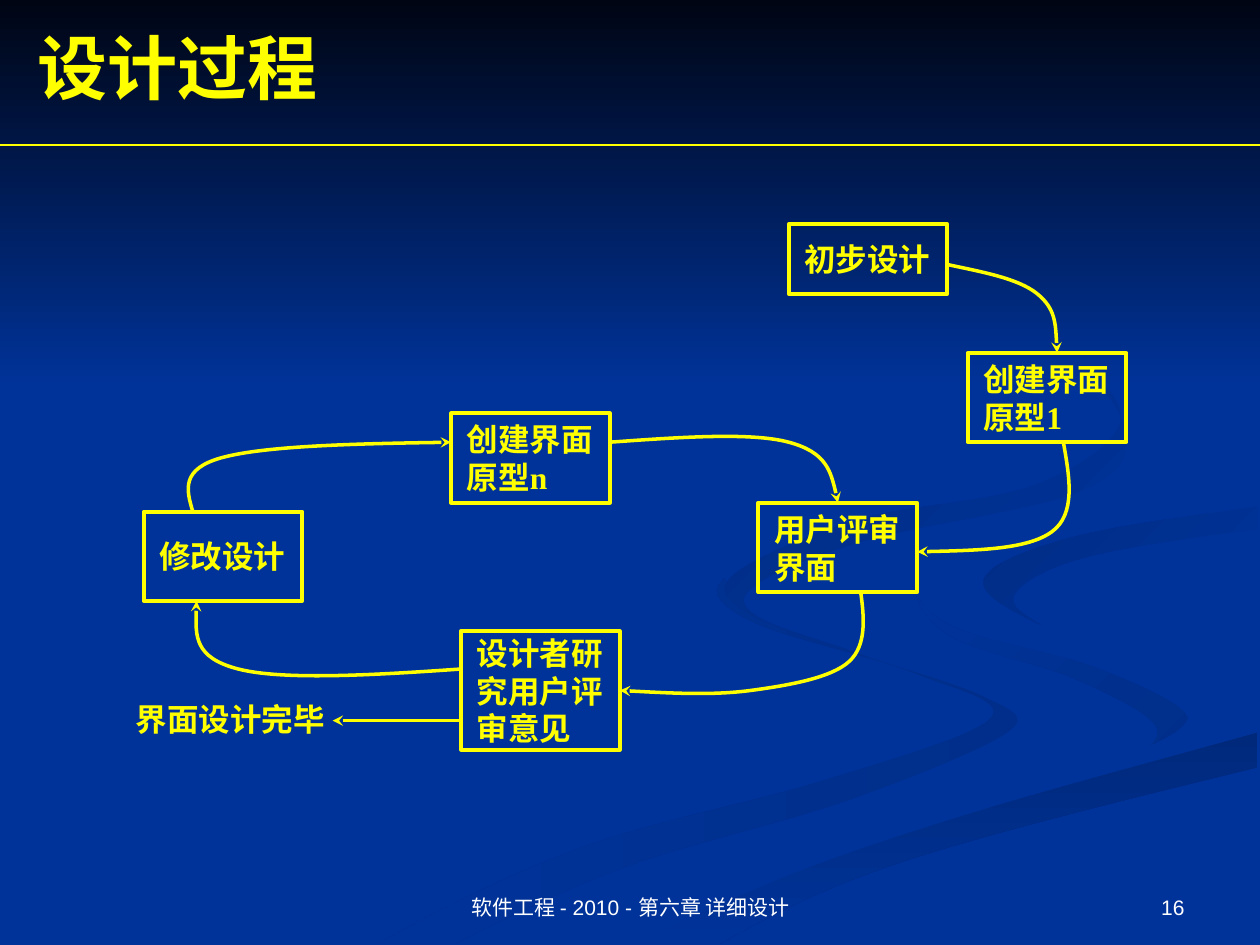
from dataclasses import dataclass

from lxml import etree
from pptx import Presentation
from pptx.dml.color import RGBColor
from pptx.enum.shapes import MSO_CONNECTOR, MSO_SHAPE
from pptx.enum.text import MSO_ANCHOR, PP_ALIGN
from pptx.oxml.ns import qn
from pptx.util import Pt

RECT = MSO_SHAPE.RECTANGLE
STRAIGHT = MSO_CONNECTOR.STRAIGHT
TOP, MIDDLE, BOTTOM = MSO_ANCHOR.TOP, MSO_ANCHOR.MIDDLE, MSO_ANCHOR.BOTTOM
LEFT, CENTER, RIGHT = PP_ALIGN.LEFT, PP_ALIGN.CENTER, PP_ALIGN.RIGHT
COLORS = {
    "base": "003399", "night": "000514", "yellow": "FFFF00", "white": "FFFFFF",
    "shade_a": "002E8A", "shade_b": "00297C", "shade_c": "002C85", "shade_d": "002B81",
}
GRID = Pt(0.72)
BOX_WIDTH = 90.7
SERIF, SANS = "Times New Roman", "Arial"
Point = tuple[float, float]


@dataclass(frozen=True)
class Swoosh:
    start: str
    end: str
    angle: int
    edges: list[list[Point]]


@dataclass(frozen=True)
class Box:
    text: str
    left: float
    top: float
    height: float = 51.1


@dataclass(frozen=True)
class Label:
    text: str
    left: float
    top: float
    width: float
    height: float
    size: int
    font: str
    color: str
    bold: bool
    anchor: MSO_ANCHOR
    align: PP_ALIGN


SWOOSHES = [
    Swoosh("shade_a", "base", 180, [
        [(575, 459), (572, 476), (611, 499), (728, 535), (786, 570), (652, 620), (458, 674),
         (300, 749)],
        [(361, 749), (499, 687), (676, 634), (800, 581), (781, 553), (682, 519), (602, 490),
         (575, 459)]]),
    Swoosh("shade_a", "base", 225, [
        [(724, 464), (758, 498), (870, 530), (943, 570), (894, 605)],
        [(894, 605), (917, 576), (854, 539), (755, 505), (724, 464)]]),
    Swoosh("shade_b", "base", 90, [
        [(571, 749), (722, 682), (998, 609)],
        [(998, 581), (764, 647), (630, 693), (503, 749)]]),
    Swoosh("base", "base", 0, [
        [(725, 464), (759, 498), (871, 530), (943, 570), (843, 618), (619, 684), (477, 749)],
        [(503, 749), (630, 693), (765, 647), (999, 581)],
        [(999, 538), (848, 503), (781, 463), (865, 424), (999, 402)],
        [(999, 387), (788, 422), (725, 464)]]),
    Swoosh("base", "shade_c", 225, [
        [(998, 402), (849, 427), (781, 460), (826, 496)],
        [(826, 496), (805, 472), (859, 443), (998, 420)]]),
    Swoosh("base", "shade_d", 225, [
        [(762, 233), (846, 279), (889, 335), (818, 386), (676, 414), (577, 462), (622, 500)],
        [(622, 500), (593, 470), (683, 430), (855, 391), (894, 344), (843, 275), (762, 233)]]),
]

BOXES = [
    Box("创建界面原型n", 257.8, 236.2),
    Box("设计者研究用户评审意见", 263.5, 360.7, 67.7),
    Box("创建界面原型1", 553, 201.6),
    Box("初步设计", 450.7, 128.2, 39.6),
    Box("用户评审界面", 433.4, 287.3),
    Box("修改设计", 82.1, 292.3),
]

ARROWS = [
    [(752, 210), (823, 233), (839, 280)],
    [(844, 351), (835, 422), (728, 438)],
    [(683, 469), (674, 525), (596, 548), (492, 548)],
    [(366, 531), (189, 531), (156, 477)],
    [(153, 406), (177, 363), (358, 351)],
    [(484, 351), (626, 351), (665, 399)],
]

LABELS = [
    Label("设计过程", 14.4, 10.1, 648, 55.4, 40, SERIF, "yellow", True, MIDDLE, LEFT),
    Label("界面设计完毕", 70.6, 396.7, 124.6, 28.8, 18, SERIF, "yellow", True, TOP, LEFT),
    Label("软件工程 - 2010 - 第六章 详细设计", 246.2, 491.8, 228.2, 37.4, 12, SANS, "white",
          False, BOTTOM, CENTER),
    Label("16", 516.2, 491.8, 167.8, 37.4, 12, SANS, "white", False, BOTTOM, RIGHT),
]


def rgb(name: str) -> RGBColor:
    return RGBColor.from_string(COLORS[name])


def shift(p: Point, before: Point, after: Point, share: float) -> Point:
    return p[0] + (after[0] - before[0]) * share, p[1] + (after[1] - before[1]) * share


def spline(points: list[Point]) -> list[Point]:
    inner = list(zip(points, points[1:], points[2:]))
    arrive = [shift(p, a, b, -1 / 6) for a, p, b in inner]
    leave = [shift(p, a, b, 1 / 6) for a, p, b in inner]
    leave.insert(0, shift(points[0], points[0], arrive[0], 0.5))
    arrive.append(shift(points[-1], points[-1], leave[-1], 0.5))
    return [p for segment in zip(leave, arrive, points[1:]) for p in segment]


def add_outline(s, edges: list[list[Point]], close: bool):
    points = spline(edges[0])
    for before, edge in zip(edges, edges[1:]):
        points += [before[-1], edge[0], edge[0]] + spline(edge)
    builder = s.shapes.build_freeform(*edges[0][0], scale=GRID)
    builder.add_line_segments(points, close=close)
    sp = builder.convert_to_shape()
    sp.shadow.inherit = False
    segments = list(sp._element.iter(qn("a:lnTo")))
    for i in range(0, len(segments), 3):
        curve = etree.Element(qn("a:cubicBezTo"))
        segments[i].addprevious(curve)
        for segment in segments[i:i + 3]:
            curve.append(segment[0])
            segment.getparent().remove(segment)
    return sp


def fill_gradient(sp, start: str, end: str, angle: int) -> None:
    sp.line.fill.background()
    if start == end:
        sp.fill.solid()
        sp.fill.fore_color.rgb = rgb(start)
        return
    sp.fill.gradient()
    sp.fill.gradient_angle = 360 - angle
    for stop, name in zip(sp.fill.gradient_stops, (start, end)):
        stop.color.rgb = rgb(name)


def set_line(sp, width: float, arrow: bool = False) -> None:
    sp.line.width = Pt(width)
    sp.line.color.rgb = rgb("yellow")
    if arrow:
        etree.SubElement(sp.line._get_or_add_ln(), qn("a:tailEnd"), type="stealth")


def add_straight(s, x1: float, y1: float, x2: float, y2: float, width: float,
                 arrow: bool = False) -> None:
    line = s.shapes.add_connector(STRAIGHT, Pt(x1), Pt(y1), Pt(x2), Pt(y2))
    set_line(line, width, arrow)
    etree.SubElement(line._element.spPr, qn("a:effectLst"))


def add_rect(s, left: float, top: float, width: float, height: float):
    sp = s.shapes.add_shape(RECT, Pt(left), Pt(top), Pt(width), Pt(height))
    sp.shadow.inherit = False
    return sp


def write(tf, text: str, size: int, font: str, color: str, bold: bool,
          anchor: MSO_ANCHOR, align: PP_ALIGN) -> None:
    tf.word_wrap = True
    tf.vertical_anchor = anchor
    p = tf.paragraphs[0]
    p.alignment = align
    r = p.add_run()
    r.text = text
    r.font.size, r.font.name, r.font.bold = Pt(size), font, bold
    r.font.color.rgb = rgb(color)


def add_box(s, box: Box) -> None:
    sp = add_rect(s, box.left, box.top, BOX_WIDTH, box.height)
    sp.fill.background()
    set_line(sp, 2.25)
    tf = sp.text_frame
    tf.margin_left, tf.margin_right = Pt(9), Pt(1.4)
    tf.margin_top = tf.margin_bottom = Pt(0.7)
    write(tf, box.text, 18, SERIF, "yellow", True, MIDDLE, LEFT)


def add_label(s, label: Label) -> None:
    sp = s.shapes.add_textbox(Pt(label.left), Pt(label.top), Pt(label.width), Pt(label.height))
    write(sp.text_frame, label.text, label.size, label.font, label.color, label.bold,
          label.anchor, label.align)


def main() -> None:
    prs = Presentation()
    prs.slide_width, prs.slide_height = Pt(720), Pt(540)
    s = prs.slides.add_slide(prs.slide_layouts[6])
    s.background.fill.solid()
    s.background.fill.fore_color.rgb = rgb("base")
    for w in SWOOSHES:
        fill_gradient(add_outline(s, w.edges, True), w.start, w.end, w.angle)
    fill_gradient(add_rect(s, 0, 0, 720, 221.8), "night", "base", 90)
    add_straight(s, 0, 82.8, 720, 82.8, 0.75)
    for box in BOXES:
        add_box(s, box)
    for points in ARROWS:
        sp = add_outline(s, [points], False)
        sp.fill.background()
        set_line(sp, 2, True)
    add_straight(s, 263.5, 411.8, 190.1, 411.8, 2, True)
    for label in LABELS:
        add_label(s, label)
    prs.save("out.pptx")


if __name__ == "__main__":
    main()
